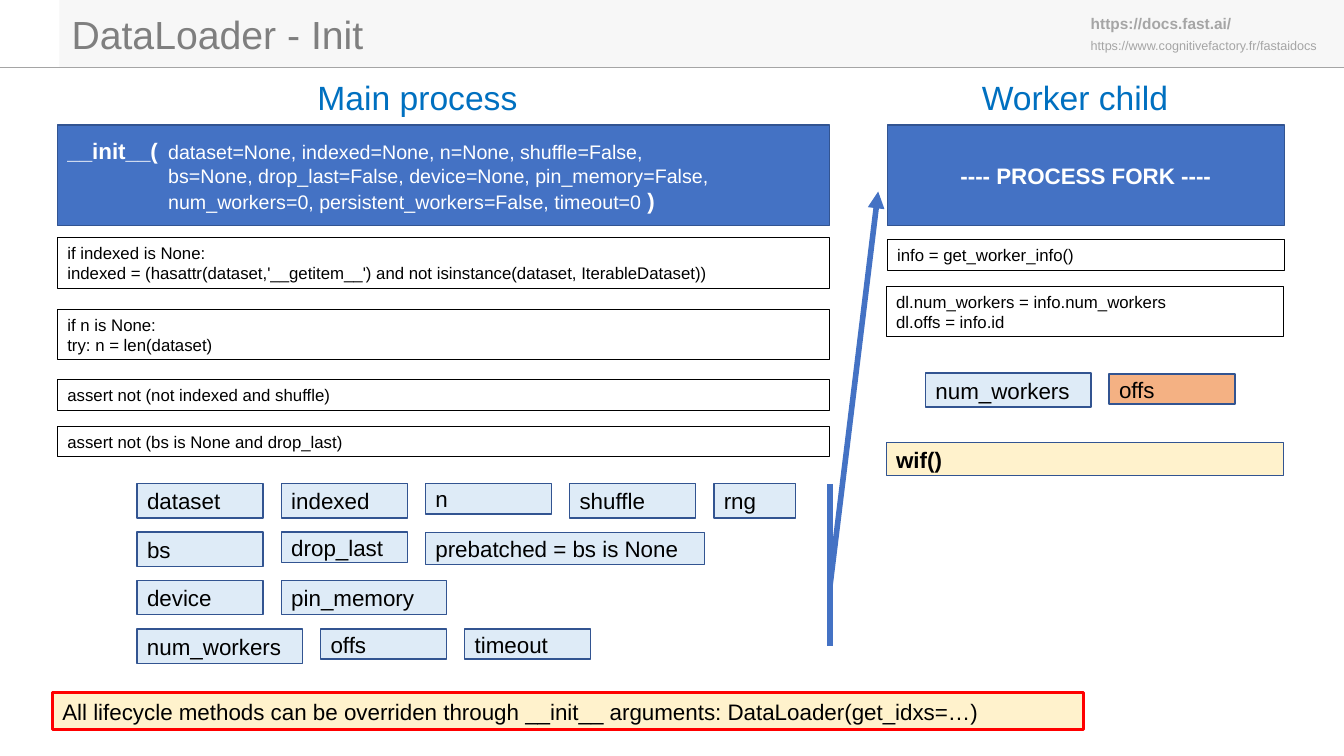
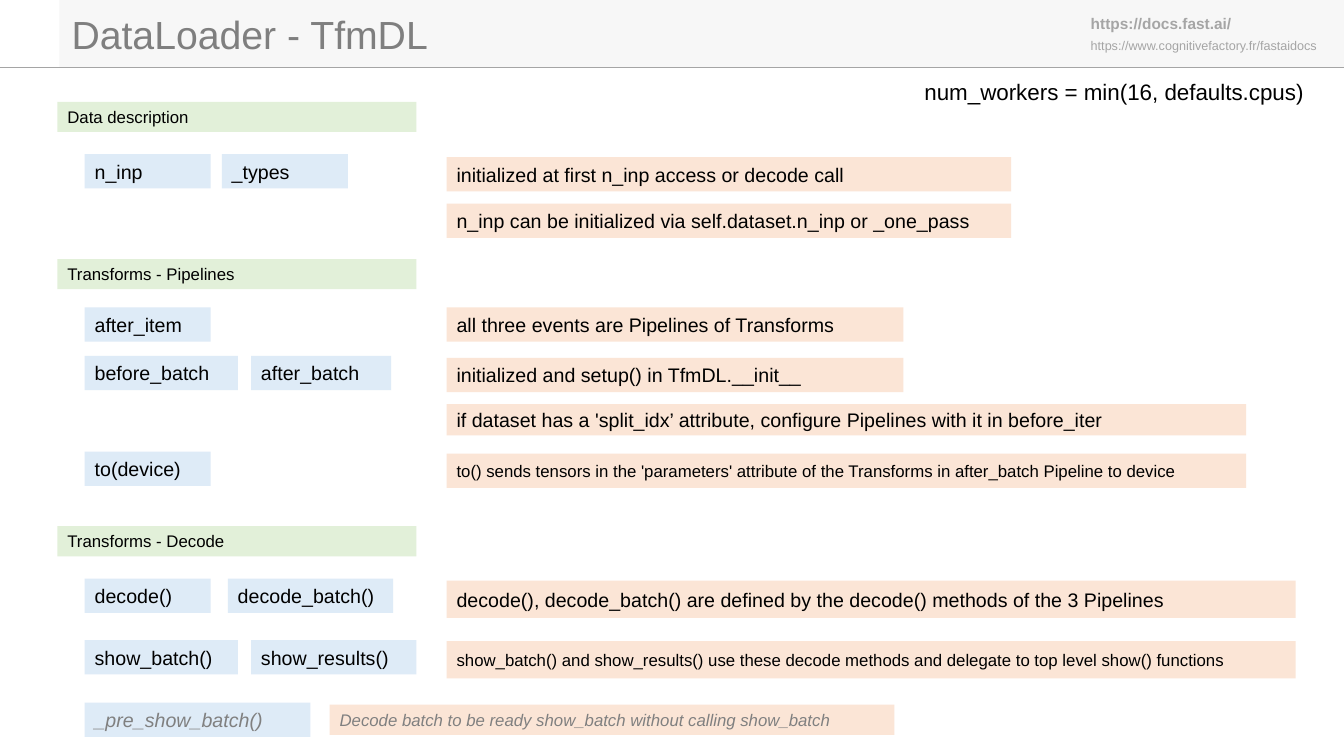
from lxml.etree import SubElement
from pptx import Presentation
from pptx.dml.color import RGBColor
from pptx.enum.shapes import MSO_CONNECTOR as Conn, MSO_SHAPE as Shape
from pptx.enum.text import MSO_ANCHOR as Anchor, MSO_AUTO_SIZE as Auto, PP_ALIGN as Align
from pptx.oxml.ns import qn
from pptx.util import Inches, Pt

FONT = "Arial"
BLACK, WHITE, GREY, MID = "000000", "FFFFFF", "A5A5A5", "7F7F7F"
BLUE, NAVY, SKY, PALE = "4472C4", "325491", "0070C0", "DEEBF7"
CREAM, PEACH, ORANGE, GREEN, RED = "FFF2CC", "FBE5D6", "F4B183", "E2F0D9", "FF0000"
BAND = 0.67


# Basic parts
def tint(hue):
    return RGBColor.from_string(hue)


def run(para, text, size, hue=BLACK, bold=False, ital=False):
    r = para.add_run()
    r.text = text
    font = r.font
    font.name, font.size, font.bold, font.italic = FONT, Pt(size), bold, ital
    font.color.rgb = tint(hue)


def write(frame, text, size, hue=BLACK, bold=False, ital=False, align=Align.LEFT):
    """One paragraph per line; a vertical tab breaks a line inside one."""
    for i, line in enumerate(text.split("\n")):
        para = frame.add_paragraph() if i else frame.paragraphs[0]
        para.alignment = align
        for j, part in enumerate(line.split("\v")):
            if j:
                para.add_line_break()
            run(para, part, size, hue, bold, ital)


def box(sl, x, y, w, h, text="", size=12, fill=None, edge=None, wide=1, **look):
    shp = sl.shapes.add_shape(Shape.RECTANGLE, Inches(x), Inches(y), Inches(w), Inches(h))
    shp.shadow.inherit = False
    if fill:
        shp.fill.solid()
        shp.fill.fore_color.rgb = tint(fill)
    else:
        shp.fill.background()
    if edge:
        shp.line.color.rgb = tint(edge)
        shp.line.width = Pt(wide)
    else:
        shp.line.fill.background()
    shp.text_frame.word_wrap = True
    shp.text_frame.vertical_anchor = Anchor.MIDDLE
    if text:
        write(shp.text_frame, text, size, **look)
    return shp


def label(sl, x, y, w, h, text, size, wrap=True, **look):
    shp = sl.shapes.add_textbox(Inches(x), Inches(y), Inches(w), Inches(h))
    shp.text_frame.word_wrap = wrap
    write(shp.text_frame, text, size, **look)
    return shp


def rule(sl, x1, y1, x2, y2, hue, wide, head=False):
    cx = sl.shapes.add_connector(Conn.STRAIGHT, Inches(x1), Inches(y1), Inches(x2), Inches(y2))
    cx.line.color.rgb = tint(hue)
    cx.line.width = Pt(wide)
    props = cx._element.spPr
    if head:
        SubElement(props.get_or_add_ln(), qn("a:tailEnd"), type="triangle")
    SubElement(props, qn("a:effectLst"))
    return cx


def tags(sl, x, y, items, gap, size, **look):
    """A row of tags with equal gaps; each item is (text, width, height)."""
    for text, w, h in items:
        box(sl, x, y, w, h, text, size, PALE, **look)
        x += w + gap


# Shared layout: top band, rule and links
def dress(sl):
    lay = sl.slide_layout
    for ph in list(lay.placeholders):
        if ph.placeholder_format.idx:
            ph.element.getparent().remove(ph.element)
    parts = [
        box(sl, 0.59, 0, 12.74, BAND, fill="F7F7F7"),
        rule(sl, 0, BAND, 13.33, BAND, GREY, 0.5),
        label(sl, 10.72, 0.33, 2.7, 0.25, "https://www.cognitivefactory.fr/fastaidocs", 9, hue=GREY),
        label(sl, 10.72, 0.09, 2.67, 0.29, "https://docs.fast.ai/", 11, hue=GREY, bold=True),
    ]
    tree = lay.shapes._spTree
    for i, part in enumerate(parts):
        tree.insert(2 + i, part._element)
    for i, node in enumerate(tree.iter(qn("p:cNvPr")), 1):
        node.set("id", str(i))


def head(sl, text, w):
    top = sl.shapes.title
    top.left, top.top, top.width, top.height = Inches(0.61), Inches(0.05), Inches(w), Inches(0.57)
    frame = top.text_frame
    frame.auto_size, frame.word_wrap = Auto.NONE, False
    frame.vertical_anchor = Anchor.MIDDLE
    write(frame, text, 28, MID)


# Slide 1: main process
def call(sl, x, y, w, h):
    frame = box(sl, x, y, w, h, fill=BLUE, edge=NAVY).text_frame
    lines = [
        [("__init__(", 16, True), ("\tdataset=None, indexed=None, n=None, shuffle=False,", 14, False)],
        [("\tbs=None, drop_last=False, device=None, pin_memory=False,", 14, False)],
        [("\tnum_workers=0, persistent_workers=False, timeout=0 ", 14, False), (")", 16, True)],
    ]
    for i, line in enumerate(lines):
        para = frame.add_paragraph() if i else frame.paragraphs[0]
        para.alignment = Align.LEFT
        stops = SubElement(para._p.get_or_add_pPr(), qn("a:tabLst"))
        SubElement(stops, qn("a:tab"), pos=str(Inches(1)), algn="l")
        for text, size, bold in line:
            run(para, text, size, WHITE, bold)


def steps(sl, x, y, w, items):
    for dx, dy, h, text in items:
        box(sl, x + dx, y + dy, w, h, text, edge=BLACK, wide=0.75)


def main_side(sl, x, y, w):
    label(sl, x + 2.48, y - 0.53, 2.21, 0.5, "Main process", 24, False, hue=SKY)
    call(sl, x, y, w, 1)
    steps(sl, x, y, w, [
        (0, 1.12, 0.5, "if indexed is None: \vindexed = (hasattr(dataset,'__getitem__') "
                       "and not isinstance(dataset, IterableDataset))"),
        (0, 1.83, 0.5, "if n is None:\ntry: n = len(dataset)"),
        (0, 2.53, 0.3, "assert not (not indexed and shuffle)"),
        (0, 2.99, 0.3, "assert not (bs is None and drop_last)"),
    ])
    rows = [
        [("dataset", 1.25, 0.34), ("indexed", 1.25, 0.34), ("n", 1.25, 0.3),
         ("shuffle", 1.25, 0.34), ("rng", 0.81, 0.34)],
        [("bs", 1.25, 0.34), ("drop_last", 1.25, 0.3), ("prebatched = bs is None", 2.77, 0.32)],
        [("device", 1.25, 0.34), ("pin_memory", 1.64, 0.34)],
        [("num_workers", 1.64, 0.34), ("offs", 1.25, 0.3), ("timeout", 1.25, 0.3)],
    ]
    for i, row in enumerate(rows):
        tags(sl, x + 0.79, y + 3.56 + 0.48 * i, row, 0.18, 16, edge=NAVY)
    # Hand-over to the worker
    end = x + w
    rule(sl, end, y + 4.59, end + 0.48, y + 0.66, BLUE, 4, head=True)
    rule(sl, end, y + 3.56, end, y + 5.17, BLUE, 4)


# Slide 1: worker child
def work_side(sl, x, y, w):
    label(sl, x + 0.84, y - 0.53, 2.07, 0.5, "Worker child", 24, False, hue=SKY)
    box(sl, x, y, w, 1, "---- PROCESS FORK ----", 16, BLUE, NAVY,
        hue=WHITE, bold=True, align=Align.CENTER)
    steps(sl, x, y, w, [
        (0, 1.14, 0.3, "info = get_worker_info()"),
        (-0.01, 1.6, 0.5, "dl.num_workers = info.num_workers\ndl.offs = info.id"),
    ])
    tags(sl, x + 0.38, y + 2.46, [("num_workers", 1.64, 0.34)], 0, 16, edge=NAVY)
    box(sl, x + 2.2, y + 2.47, 1.25, 0.3, "offs", 16, ORANGE, NAVY)
    box(sl, x - 0.01, y + 3.15, w, 0.33, "wif()", 16, CREAM, NAVY, bold=True)


def init(sl):
    head(sl, "DataLoader - Init", 3.13)
    main_side(sl, 0.57, 1.24, 7.66)
    work_side(sl, 8.8, 1.24, 3.94)
    box(sl, 0.52, 6.87, 10.23, 0.37, "All lifecycle methods can be overriden through "
        "__init__ arguments: DataLoader(get_idxs=…)", 16, CREAM, RED, 2.25)


# Slide 2: a headed section with tag rows on the left and notes on the right
def part(sl, x, y, title, rows, notes):
    box(sl, x, y, 3.56, 0.3, title, 12, GREEN)
    for dy, gap, items in rows:
        tags(sl, x + 0.27, y + dy, [(text, w, 0.34) for text, w in items], gap, 14)
    for dy, w, h, size, text in notes:
        box(sl, x + 3.86, y + dy, w, h, text, size, PEACH)


def tfmdl(sl):
    head(sl, "DataLoader - TfmDL", 3.78)
    label(sl, 9.07, 0.73, 4.26, 0.37, "num_workers = min(16, defaults.cpus)", 16)
    left = 0.57
    part(sl, left, 1.01, "Data description", [
        (0.52, 0.11, [("n_inp", 1.25), ("_types", 1.25)]),
    ], [
        (0.55, 5.6, 0.34, 14, "initialized at first n_inp access or decode call"),
        (1.01, 5.6, 0.34, 14, "n_inp can be initialized via self.dataset.n_inp or _one_pass"),
    ])
    part(sl, left, 2.57, "Transforms - Pipelines", [
        (0.48, 0, [("after_item", 1.25)]),
        (0.96, 0.13, [("before_batch", 1.52), ("after_batch", 1.39)]),
        (1.91, 0, [("to(device)", 1.25)]),
    ], [
        (0.48, 4.53, 0.34, 14, "all three events are Pipelines of Transforms"),
        (0.98, 4.53, 0.34, 14, "initialized and setup() in TfmDL.__init__"),
        (1.44, 7.93, 0.31, 14, "if dataset has a 'split_idx’ attribute, "
                               "configure Pipelines with it in before_iter"),
        (1.93, 7.93, 0.34, 12, "to() sends tensors in the 'parameters' attribute of the "
                               "Transforms in after_batch Pipeline to device"),
    ])
    part(sl, left, 5.22, "Transforms - Decode", [
        (0.52, 0.17, [("decode()", 1.25), ("decode_batch()", 1.64)]),
        (1.13, 0.13, [("show_batch()", 1.52), ("show_results()", 1.64)]),
    ], [
        (0.54, 8.42, 0.37, 14, "decode(), decode_batch() are defined by the "
                               "decode() methods of the 3 Pipelines"),
        (1.14, 8.42, 0.37, 12, "show_batch() and show_results() use these decode methods "
                               "and delegate to top level show() functions"),
    ])
    # Internal method, greyed out
    faint = {"hue": "808080", "ital": True}
    tags(sl, left + 0.27, 6.97, [("_pre_show_batch()", 2.24, 0.34)], 0, 14, **faint)
    box(sl, left + 2.7, 6.99, 5.6, 0.3,
        "Decode batch to be ready show_batch without calling show_batch", 12, PEACH, **faint)


def main():
    deck = Presentation()
    deck.slide_width, deck.slide_height = Inches(13.33), Inches(7.5)
    lay = deck.slide_layouts[5]
    first, second = [deck.slides.add_slide(lay) for _ in range(2)]
    dress(first)
    init(first)
    tfmdl(second)
    deck.save("out.pptx")


if __name__ == "__main__":
    main()
